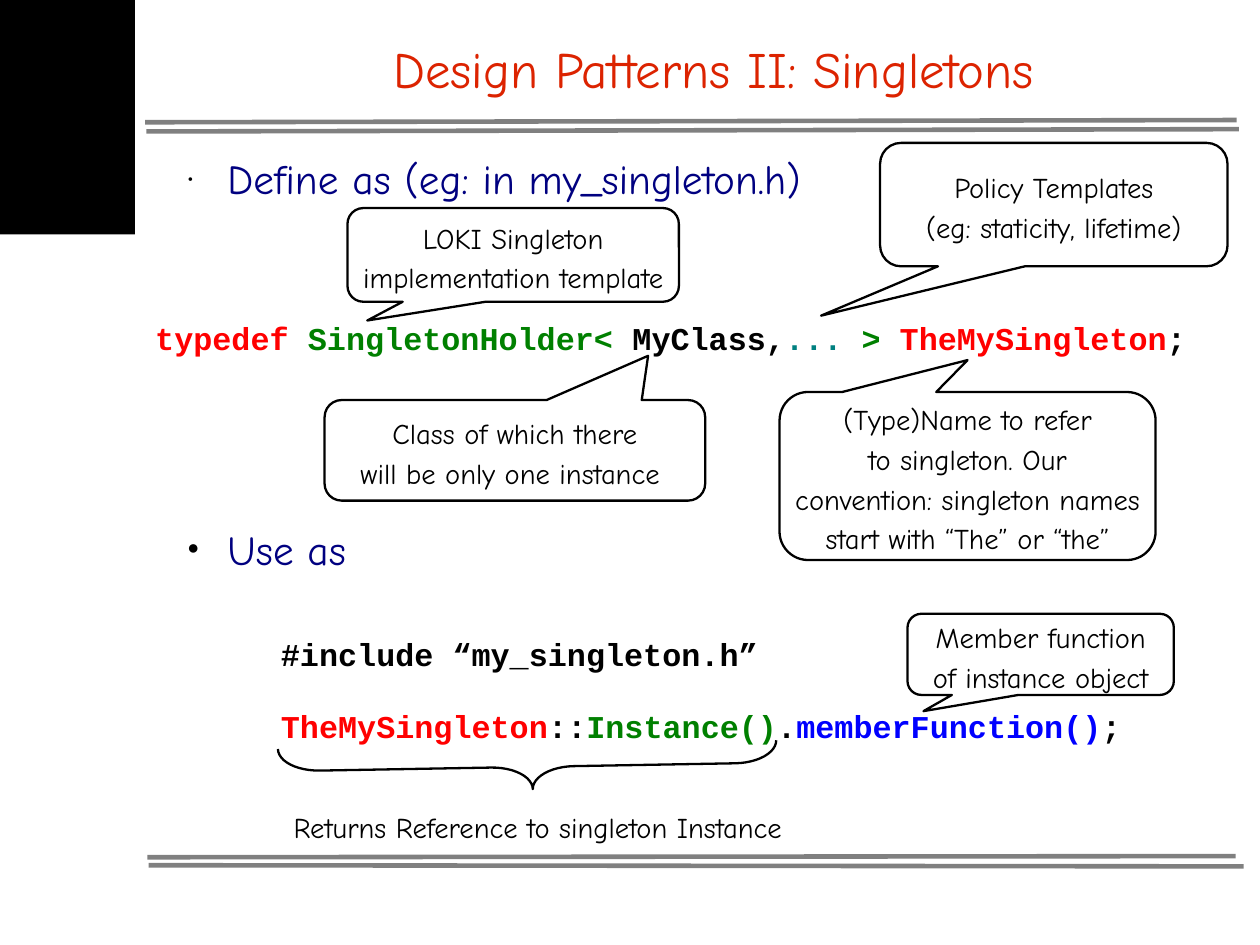
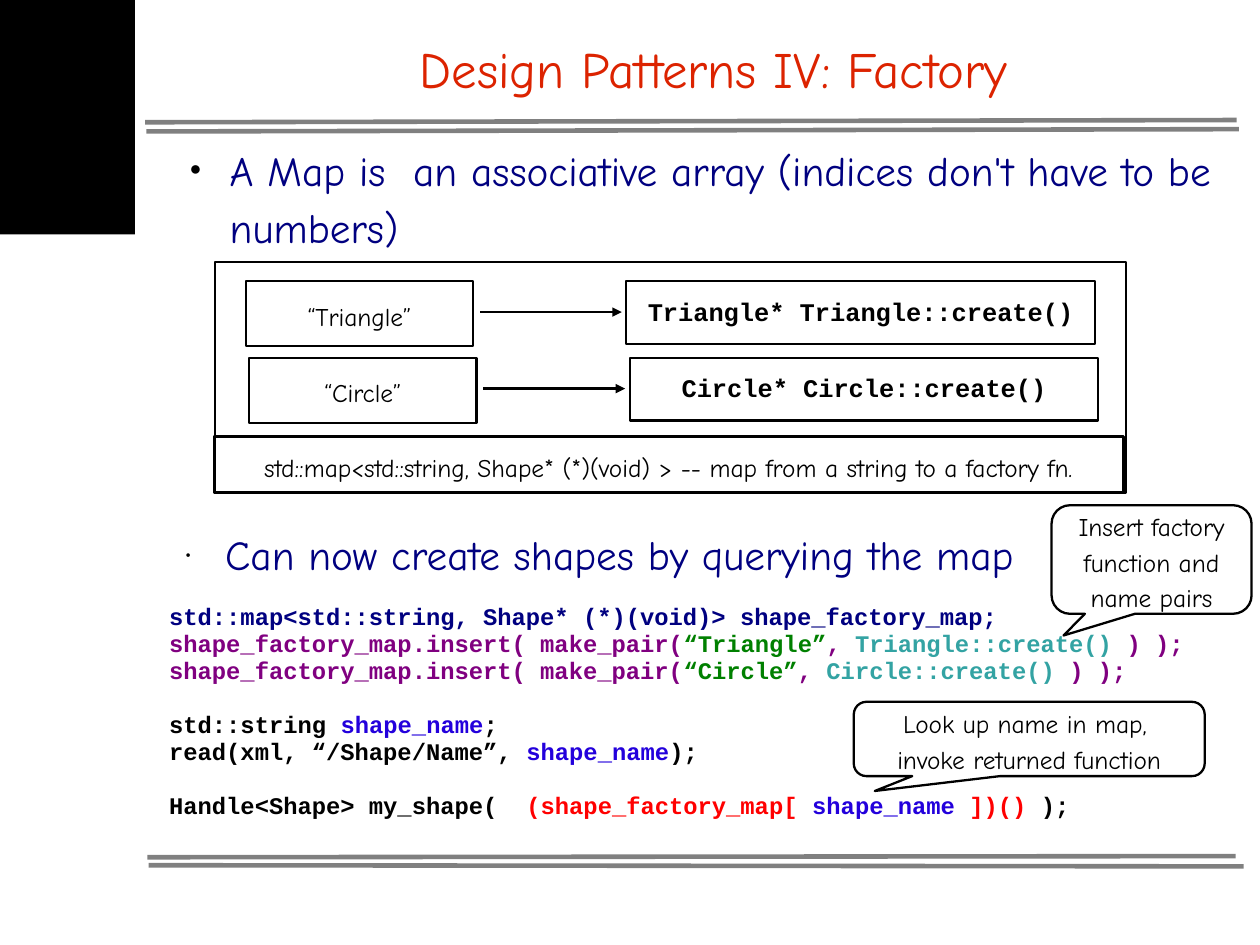
import lxml.etree
import pptx
import pptx.dml.color
import pptx.enum.shapes
import pptx.enum.text
import pptx.oxml.ns
import pptx.util

Pt = pptx.util.Pt
SHAPE = pptx.enum.shapes.MSO_SHAPE
ALIGN = pptx.enum.text.PP_ALIGN
ANCHOR = pptx.enum.text.MSO_ANCHOR
qn = pptx.oxml.ns.qn

COLORS = {
    "black": "000000", "rule": "808080", "title": "DC2300", "navy": "000080",
    "red": "FF0000", "green": "008000", "teal": "008080", "blue": "0000FF",
    "purple": "800080", "aqua": "33A3A3", "violet": "2300DC",
}
HAND, MONO = "Comic Neue", "Courier New"
MARK_FONTS = {"•": HAND, "●": MONO}
LINE_WIDTH, RULE_WIDTH = 1.45, 2.89
RULES = [(12.7, 10.7, 108.2, 10.5), (12.8, 11.5, 108.4, 11.3),
         (12.9, 75, 108.1, 74.9), (13, 75.7, 108.8, 75.8)]


def cells(*lengths):
    """Lengths on a grid whose square cells are a tenth of an inch."""
    return [pptx.util.Inches(n / 10) for n in lengths]


def rgb(name):
    return pptx.dml.color.RGBColor.from_string(COLORS[name])


def inside(box, left, top, width, height):
    """Box whose corner is counted from the corner of another box."""
    return box[0] + left, box[1] + top, width, height


def write(tf, paragraphs, size=18, font=HAND, color="black", bold=False,
          align=ALIGN.LEFT, anchor=ANCHOR.TOP, spacing=1.16, inset=(1, 0.5),
          wrap=True, gaps=(), gap=0):
    """Fill a frame; a paragraph is a string or a list of (color, text) runs.

    Paragraphs whose index is in gaps are followed by gap points.
    """
    tf.word_wrap = wrap
    tf.vertical_anchor = anchor
    tf.margin_left, tf.margin_top = tf.margin_right, tf.margin_bottom = cells(*inset)
    for i, runs in enumerate(paragraphs):
        p = tf.paragraphs[0] if i == 0 else tf.add_paragraph()
        p.alignment, p.line_spacing = align, spacing
        p.space_after = Pt(gap if i in gaps else 0)
        for name, text in [(color, runs)] if isinstance(runs, str) else runs:
            r = p.add_run()
            r.text = text
            r.font.size, r.font.name, r.font.bold = Pt(size), font, bold
            r.font.color.rgb = rgb(name)


def add_text(slide, box, paragraphs, **fmt):
    tf = slide.shapes.add_textbox(*cells(*box)).text_frame
    write(tf, paragraphs, **fmt)
    return tf


def add_outline(slide, kind, box, paragraphs=(), adjust=(), **fmt):
    """Unfilled shape with a black line and centred text."""
    sp = slide.shapes.add_shape(kind, *cells(*box))
    sp.shadow.inherit = False
    sp.fill.background()
    sp.line.color.rgb, sp.line.width = rgb("black"), Pt(LINE_WIDTH)
    for i, value in enumerate(adjust):
        sp.adjustments[i] = value
    write(sp.text_frame, paragraphs, align=ALIGN.CENTER, anchor=ANCHOR.MIDDLE,
          inset=(1.1, 0.6), **fmt)
    return sp


def add_line(slide, ends, color="black", width=LINE_WIDTH, arrow=False):
    line = slide.shapes.add_connector(
        pptx.enum.shapes.MSO_CONNECTOR.STRAIGHT, *cells(*ends))
    line.line.color.rgb, line.line.width = rgb(color), Pt(width)
    if arrow:
        lxml.etree.SubElement(line.line._get_or_add_ln(), qn("a:tailEnd"), type="triangle")
    lxml.etree.SubElement(line._element.spPr, qn("a:effectLst"))


def add_frame(prs, title):
    """New slide with the shared corner block, rules and title."""
    slide = prs.slides.add_slide(prs.slide_layouts[6])
    for ends in RULES:
        add_line(slide, ends, "rule", RULE_WIDTH)
    block = slide.shapes.add_shape(SHAPE.RECTANGLE, *cells(0, 0, 11.8, 20.5))
    block.shadow.inherit = False
    block.fill.solid()
    block.fill.fore_color.rgb = rgb("black")
    block.line.fill.background()
    add_text(slide, (15.7, 1.1, 93.5, 8.8), [title], size=32, color="title",
             align=ALIGN.CENTER, anchor=ANCHOR.MIDDLE, inset=(0, 0))
    return slide


def add_bullet(slide, box, text, mark):
    tf = add_text(slide, box, [text], size=26, color="navy", inset=(0, 0))
    pPr = tf.paragraphs[0]._p.get_or_add_pPr()
    hang, back = cells(4.7, -3.5)
    pPr.set("marL", str(hang))
    pPr.set("indent", str(back))
    color = lxml.etree.SubElement(pPr, qn("a:buClr"))
    lxml.etree.SubElement(color, qn("a:srgbClr"), val=COLORS["black"])
    lxml.etree.SubElement(pPr, qn("a:buSzPct"), val="48000")
    lxml.etree.SubElement(pPr, qn("a:buFont"), typeface=MARK_FONTS[mark])
    lxml.etree.SubElement(pPr, qn("a:buChar"), char=mark)


def add_code(slide, box, lines, size, **fmt):
    add_text(slide, box, lines, size=size, font=MONO, bold=True, spacing=0.95,
             gap=1.13 * size, **fmt)


def add_callout(slide, box, lines, tip=(-0.44, 0.7), size=18):
    add_outline(slide, SHAPE.ROUNDED_RECTANGULAR_CALLOUT, box, lines,
                (*tip, 0.17), size=size, wrap=False)


def add_map(slide, box, entries, caption):
    """Framed key-to-function rows above a caption strip."""
    for i, (key, function) in enumerate(entries):
        row = inside(box, 2.7 + 0.3 * i, 1.7 + 6.7 * i, 74.3, 5.7)
        add_outline(slide, SHAPE.RECTANGLE, inside(row, 0, 0, 19.9, 5.7), [key], size=16)
        add_outline(slide, SHAPE.RECTANGLE, inside(row, 33.3, 0, 41, 5.5), [function],
                    size=16, font=MONO, bold=True, spacing=0.95)
        x, y = row[:2]
        add_line(slide, (x + 20.5, y + 2.7, x + 32.9, y + 2.7), arrow=True)
    add_outline(slide, SHAPE.RECTANGLE, box)
    strip = 4.9
    add_outline(slide, SHAPE.RECTANGLE,
                inside(box, -0.1, box[3] - strip, box[2] - 0.1, strip), [caption], size=16)


def build_singletons(prs):
    slide = add_frame(prs, "Design Patterns II: Singletons")
    add_bullet(slide, (15.2, 12.7, 93.4, 5.5), "Define as (eg: in my_singleton.h)", "•")
    add_bullet(slide, (15.2, 45.2, 93.4, 5), "Use as", "●")
    add_code(slide, (12.6, 27.6, 95, 4.2), [
        [("red", "typedef "), ("green", "SingletonHolder<"), ("black", " MyClass,"),
         ("teal", "... "), ("green", "> "), ("red", "TheMySingleton"), ("black", ";")],
    ], size=20)
    add_code(slide, (23.6, 55.3, 80, 10.5), [
        "#include “my_singleton.h”",
        [("red", "TheMySingleton"), ("black", "::"), ("green", "Instance()"),
         ("black", "."), ("blue", "memberFunction()"), ("black", ";")],
    ], size=20, gaps=(0,))
    add_callout(slide, (30.4, 18.2, 29, 8.2),
                ["LOKI Singleton", "implementation template"])
    add_callout(slide, (28.4, 35, 33.3, 8.8),
                ["Class of which there", "will be only one instance "], (0.35, -0.94))
    add_callout(slide, (77, 12.5, 30.4, 10.8),
                ["Policy Templates", "(eg: staticity, lifetime)"], (-0.67, 0.9))
    add_callout(slide, (68.2, 34.3, 32.9, 14.7),
                ["(Type)Name to refer", "to singleton. Our",
                 "convention: singleton names", "start with “The” or “the”"], (0, -0.69))
    add_callout(slide, (79.4, 53.7, 23.3, 7.1), ["Member function", "of instance object"])
    brace = add_outline(slide, SHAPE.LEFT_BRACE, (44.2, 45.3, 3.9, 43.6),
                        adjust=(0.93, 0.51))
    brace.rotation = 269
    add_text(slide, (24.7, 69.9, 59.9, 4.5), ["Returns Reference to singleton Instance"])


def build_factory(prs):
    slide = add_frame(prs, "Design Patterns IV: Factory")
    add_bullet(slide, (15.4, 12, 93.4, 10.1),
               "A Map is  an associative array (indices don't have to be numbers)", "●")
    add_bullet(slide, (15, 45.6, 93.4, 6.2),
               "Can now create shapes by querying the map", "•")
    names = ["Triangle", "Circle"]
    add_map(slide, (18.8, 22.9, 79.7, 20.2),
            [(f"“{name}”", f"{name}* {name}::create()") for name in names],
            "std::map<std::string, Shape* (*)(void) > -- map from a string to a factory fn.")
    inserts = [
        [("purple", "shape_factory_map.insert( make_pair("), ("green", f"“{name}”"),
         ("purple", ", "), ("aqua", f"{name}::create()"), ("purple", " ) );")]
        for name in names]
    variable = ("violet", "shape_name")
    add_code(slide, (13.7, 52.2, 94.9, 20.2), [
        [("navy", "std::map<std::string, Shape* (*)(void)> shape_factory_map;")],
        *inserts,
        [("black", "std::string "), variable, ("black", ";")],
        [("black", "read(xml, “/Shape/Name”, "), variable, ("black", ");")],
        [("black", "Handle<Shape> my_shape(  "), ("red", "(shape_factory_map[ "),
         variable, ("red", " ])()"), ("black", " );")],
    ], size=15, inset=(1.1, 0.6), gaps=(2, 4))
    add_callout(slide, (74.7, 61.4, 30.7, 6.5),
                ["Look up name in map, ", "invoke returned function"], size=16)
    add_callout(slide, (92, 44.2, 17.5, 9.5),
                ["Insert factory", "function and", "name pairs"], size=16)


def main():
    prs = pptx.Presentation()
    prs.slide_width = pptx.util.Cm(28)
    prs.slide_height = pptx.util.Cm(21)
    build_singletons(prs)
    build_factory(prs)
    prs.save("out.pptx")


if __name__ == "__main__":
    main()
